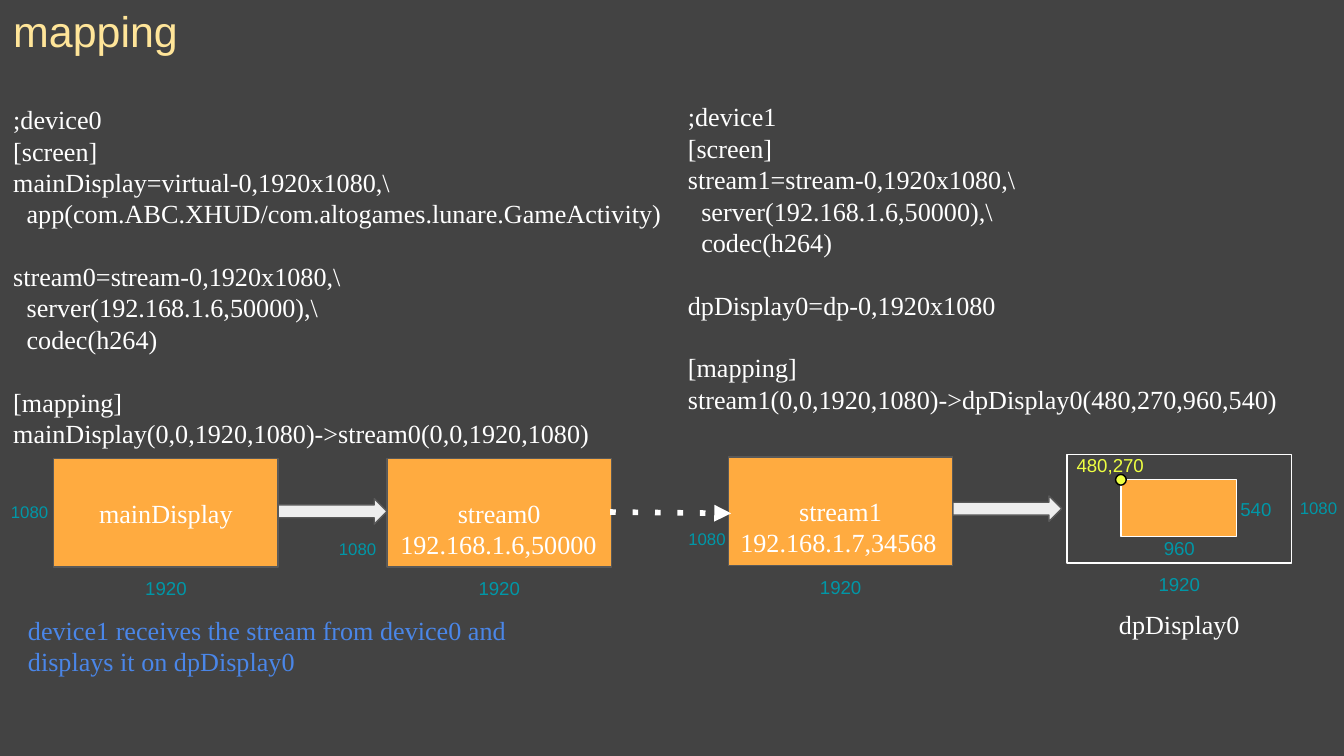
"""Build the slide that explains how streams are mapped between two devices."""
from pptx import Presentation
from pptx.dml.color import RGBColor
from pptx.enum.shapes import MSO_CONNECTOR, MSO_SHAPE
from pptx.enum.text import MSO_ANCHOR, PP_ALIGN
from pptx.oxml.ns import qn
from pptx.util import Inches, Pt
from lxml.etree import SubElement

COLORS = {
    "background": "434343",
    "white": "FFFFFF",
    "orange": "FFAB40",
    "border": "595959",
    "arrow": "EEEEEE",
    "size": "0097A7",
    "note": "4A86E8",
    "title": "FFE599",
    "origin": "EEFF41",
    "black": "000000",
}
SERIF, SANS = "Times New Roman", "Arial"
SCREEN_W, SCREEN_H = 1.67, 0.81
LINE_PITCH = Pt(16.8)

DEVICE0 = [
    [";device0", "[screen]", "mainDisplay=virtual-0,1920x1080,\\",
     "  app(com.ABC.XHUD/com.altogames.lunare.GameActivity)"],
    ["stream0=stream-0,1920x1080,\\", "  server(192.168.1.6,50000),\\", "  codec(h264)"],
    ["[mapping]", "mainDisplay(0,0,1920,1080)->stream0(0,0,1920,1080)"],
]
DEVICE1 = [
    [";device1", "[screen]", "stream1=stream-0,1920x1080,\\",
     "  server(192.168.1.6,50000),\\", "  codec(h264)"],
    ["dpDisplay0=dp-0,1920x1080"],
    ["[mapping]", "stream1(0,0,1920,1080)->dpDisplay0(480,270,960,540)"],
]


def rgb(color):
    """Return the named colour."""
    return RGBColor.from_string(COLORS[color])


def format_paragraph(paragraph, size, font, color, align):
    """Style a paragraph and its runs."""
    paragraph.alignment = align
    if font == SERIF:
        paragraph.line_spacing = LINE_PITCH
    for run in paragraph.runs:
        run.font.size = Pt(size)
        run.font.name = font
        run.font.color.rgb = rgb(color)


def set_frame(frame, anchor):
    """Give a text frame its margins, wrapping and anchor."""
    frame.margin_left = frame.margin_right = Inches(0.1)
    frame.margin_top = frame.margin_bottom = Inches(0.1)
    frame.word_wrap = True
    frame.vertical_anchor = anchor


def add_text(slide, box, text, size=14, font=SERIF, color="white",
             align=PP_ALIGN.LEFT, anchor=MSO_ANCHOR.TOP):
    """Add a text box with one paragraph."""
    frame = slide.shapes.add_textbox(*map(Inches, box)).text_frame
    set_frame(frame, anchor)
    frame.text = text
    format_paragraph(frame.paragraphs[0], size, font, color, align)


def add_label(slide, box, text, size=10, font=SANS, color="size"):
    """Add a label centred in its box."""
    add_text(slide, box, text, size, font, color, PP_ALIGN.CENTER, MSO_ANCHOR.MIDDLE)


def add_code(slide, box, sections):
    """Add a configuration listing with a gap between sections."""
    frame = slide.shapes.add_textbox(*map(Inches, box)).text_frame
    set_frame(frame, MSO_ANCHOR.TOP)
    lines = [line for section in sections for line in section]
    frame.text = "\n".join(line.strip() for line in lines)
    section_starts = {sum(map(len, sections[:i])) for i in range(1, len(sections))}
    for index, (line, paragraph) in enumerate(zip(lines, frame.paragraphs)):
        format_paragraph(paragraph, 14, SERIF, "white", PP_ALIGN.LEFT)
        if index in section_starts:
            paragraph.space_before = LINE_PITCH
        if line.startswith(" "):
            paragraph._p.get_or_add_pPr().set("marL", str(Inches(0.1)))


def add_block(slide, kind, box, fill, line, text=""):
    """Add a preset shape, with centred text if there is any."""
    block = slide.shapes.add_shape(kind, *map(Inches, box))
    block.shadow.inherit = False
    if fill:
        block.fill.solid()
        block.fill.fore_color.rgb = rgb(fill)
    else:
        block.fill.background()
    block.line.color.rgb = rgb(line)
    block.line.width = Pt(0.75)
    if text:
        set_frame(block.text_frame, MSO_ANCHOR.MIDDLE)
        block.text_frame.text = text
        format_paragraph(block.text_frame.paragraphs[0], 14, SERIF, "white", PP_ALIGN.CENTER)


def add_screen(slide, left, top, height_label, name="", fill="orange", line="border"):
    """Add a screen with its width below and its height at the given place."""
    add_block(slide, MSO_SHAPE.RECTANGLE, (left, top, SCREEN_W, SCREEN_H), fill, line, name)
    add_label(slide, (left + 0.52, top + SCREEN_H, 0.63, 0.31), "1920")
    add_label(slide, (*height_label, 0.52, 0.38), "1080", 9)


def add_network_link(slide, start, end):
    """Add the dotted arrow between the two devices."""
    link = slide.shapes.add_connector(MSO_CONNECTOR.STRAIGHT, *map(Inches, start + end))
    link.line.color.rgb = rgb("white")
    link.line.width = Pt(3)
    properties = link._element.spPr
    outline = properties.find(qn("a:ln"))
    SubElement(outline, qn("a:prstDash"), val="dot")
    SubElement(outline, qn("a:tailEnd"), type="triangle")
    SubElement(properties, qn("a:effectLst"))


def main():
    """Build and save the slide."""
    deck = Presentation()
    deck.slide_width, deck.slide_height = Inches(10), Inches(10 * 9 / 16)
    slide = deck.slides.add_slide(deck.slide_layouts[6])
    slide.background.fill.solid()
    slide.background.fill.fore_color.rgb = rgb("background")

    add_code(slide, (0, 0.67, 6.83, 2.79), DEVICE0)
    add_screen(slide, 0.4, 3.41, (-0.04, 3.62), "mainDisplay")
    add_block(slide, MSO_SHAPE.RIGHT_ARROW, (2.07, 3.71, 0.81, 0.19), "arrow", "border")
    add_text(slide, (0.11, 4.47, 4.34, 0.67),
             "device1 receives the stream from device0 and displays it on dpDisplay0", color="note")
    add_screen(slide, 2.88, 3.41, (2.4, 3.89), "stream0")

    add_code(slide, (5.02, 0.65, 6.83, 2.56), DEVICE1)
    add_screen(slide, 5.42, 3.4, (5, 3.82), "stream1")
    add_block(slide, MSO_SHAPE.RIGHT_ARROW, (7.09, 3.69, 0.81, 0.19), "arrow", "border")
    add_screen(slide, 7.94, 3.38, (9.55, 3.59), fill=None, line="white")
    add_block(slide, MSO_SHAPE.RECTANGLE, (8.34, 3.57, 0.86, 0.42), "orange", "white")
    add_label(slide, (8.46, 3.92, 0.63, 0.31), "960")
    add_label(slide, (9.03, 3.63, 0.63, 0.31), "540")
    add_block(slide, MSO_SHAPE.OVAL, (8.3, 3.53, 0.08, 0.08), "origin", "black")
    add_label(slide, (7.9, 3.27, 0.72, 0.38), "480,270", color="origin")

    add_network_link(slide, (4.54, 3.81), (5.44, 3.82))
    add_text(slide, (2.88, 3.83, 1.69, 0.44), "192.168.1.6,50000")
    add_text(slide, (5.41, 3.82, 1.69, 0.44), "192.168.1.7,34568")
    add_text(slide, (0, 0, 2.15, 0.45), "mapping", 23, SANS, "title", anchor=MSO_ANCHOR.MIDDLE)
    add_label(slide, (8.17, 4.42, 1.21, 0.44), "dpDisplay0", 14, SERIF, "white")
    deck.save("out.pptx")


if __name__ == "__main__":
    main()
